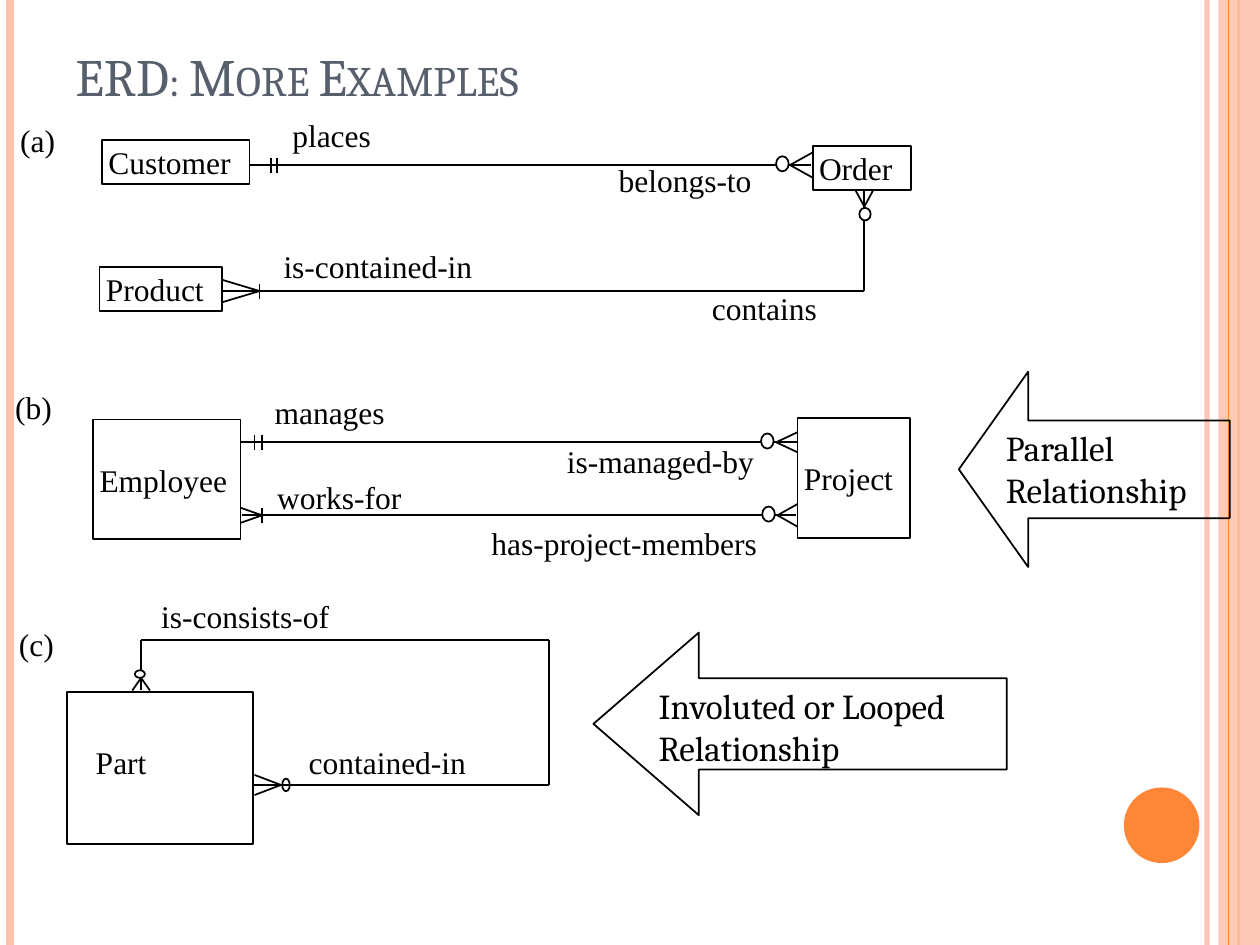
"""Build a slide of three entity-relationship diagram examples."""
from pptx import Presentation
from pptx.dml.color import RGBColor
from pptx.enum.shapes import MSO_CONNECTOR, MSO_SHAPE
from pptx.enum.text import MSO_ANCHOR, MSO_AUTO_SIZE, PP_ALIGN
from pptx.oxml.ns import qn
from pptx.util import Inches, Pt
from lxml import etree

BLACK = RGBColor(0x00, 0x00, 0x00)
WHITE = RGBColor(0xFF, 0xFF, 0xFF)
SLATE = RGBColor(0x57, 0x5F, 0x6D)
PEACH = RGBColor(0xFE, 0xC3, 0xAE)
ORANGE = RGBColor(0xFE, 0x86, 0x37)
SERIF = "Times New Roman"
DISPLAY = "Cambria"

prs = Presentation()
prs.slide_width, prs.slide_height = Inches(10), Inches(7.5)
slide = prs.slides.add_slide(prs.slide_layouts[5])
shapes = slide.shapes


def draw_line(x1, y1, x2, y2, color=BLACK, width=1):
    line = shapes.add_connector(MSO_CONNECTOR.STRAIGHT, *map(Inches, (x1, y1, x2, y2)))
    line.line.color.rgb = color
    line.line.width = Pt(width)
    etree.SubElement(line._element.spPr, qn("a:effectLst"))
    return line


def draw_shape(kind, place, fill=None, outline=BLACK):
    shape = shapes.add_shape(kind, *map(Inches, place))
    shape.shadow.inherit = False
    if fill is None:
        shape.fill.background()
    else:
        shape.fill.solid()
        shape.fill.fore_color.rgb = fill
    if outline is None:
        shape.line.fill.background()
    else:
        shape.line.color.rgb = outline
        shape.line.width = Pt(1)
    return shape


edge_rule = draw_line(9.58, 0, 9.58, 7.5, PEACH, 3)
draw_line(0.08, 0, 0.08, 7.5, PEACH, 4.5)
draw_line(9.83, 0, 9.83, 7.5, ORANGE, 1.5)
side_band = draw_shape(MSO_SHAPE.RECTANGLE, (9.67, 0, 0.33, 7.5), PEACH, None)
draw_line(9.75, 0, 9.75, 7.5, ORANGE, 0.75)
draw_shape(MSO_SHAPE.OVAL, (8.92, 6.25, 0.6, 0.6), ORANGE, None)
for decoration, opacity in ((edge_rule, 93), (side_band, 87)):
    tint = next(decoration._element.spPr.iter(qn("a:srgbClr")))
    etree.SubElement(tint, qn("a:alpha"), val=str(opacity * 1000))

title = shapes.title
title.left, title.top, title.width, title.height = map(Inches, (0.5, 0.3, 7.96, 0.6))
title.text_frame.text = "ERD: More Examples"
title.text_frame.auto_size = MSO_AUTO_SIZE.NONE
title.text_frame.vertical_anchor = MSO_ANCHOR.BOTTOM
heading = title.text_frame.paragraphs[0]
heading.alignment = PP_ALIGN.LEFT
heading.font.name, heading.font.size = DISPLAY, Pt(30)
heading.font.color.rgb = SLATE
heading.runs[0].font._element.set("cap", "small")

relationships = [
    (1.98, 1.31, 6.44, 1.31),
    (1.77, 2.31, 6.86, 2.31), (6.86, 2.31, 6.86, 1.51),
    (1.91, 3.51, 6.33, 3.51),
    (1.92, 4.09, 6.32, 4.09),
    (1.12, 5.48, 1.12, 5.08), (1.12, 5.08, 4.36, 5.08),
    (4.36, 5.08, 4.36, 6.23), (4.36, 6.23, 2.02, 6.23),
]
for ends in relationships:
    draw_line(*ends)

one_ticks = [(2.15, 1.31), (2.2, 1.31), (2.06, 2.31), (2.02, 3.51), (2.08, 3.51), (2.08, 4.09)]
for x, y in one_ticks:
    draw_line(x, y - 0.06, x, y + 0.06)

sideways_feet = [
    (6.27, 1.31, 0.18, 0.1), (2.06, 2.31, -0.3, 0.09), (6.16, 3.51, 0.17, 0.08),
    (6.17, 4.09, 0.16, 0.09), (2.08, 4.09, -0.17, 0.06), (2.23, 6.23, -0.21, 0.08),
]
upright_feet = [(6.86, 1.64, 0.07, -0.13), (1.12, 5.38, 0.07, 0.1)]
for side in (-1, 1):
    for x, y, reach, spread in sideways_feet:
        draw_line(x, y, x + reach, y + side * spread)
    for x, y, spread, reach in upright_feet:
        draw_line(x, y, x + side * spread, y + reach)

zero_rings = [
    (6.16, 1.24, 0.1, 0.12, WHITE), (6.82, 1.65, 0.09, 0.1, WHITE),
    (6.04, 3.44, 0.1, 0.12, WHITE), (6.05, 4.02, 0.1, 0.12, WHITE),
    (1.07, 5.32, 0.08, 0.06, WHITE), (2.24, 6.18, 0.06, 0.1, None),
]
for *place, fill in zero_rings:
    draw_shape(MSO_SHAPE.OVAL, place, fill)

entities = [
    ("Customer", 0.81, 1.11, 1.17, 0.35, 0.05), ("Order", 6.45, 1.16, 0.78, 0.35, 0.05),
    ("Product", 0.79, 2.12, 0.97, 0.35, 0.05), ("Employee", 0.74, 3.33, 1.17, 0.95, 0.05),
    ("Project", 6.33, 3.32, 0.89, 0.95, 0.05), ("Part", 0.53, 5.49, 1.48, 1.21, 0.23),
]
captions = []
for name, *place, indent in entities:
    entity = draw_shape(MSO_SHAPE.RECTANGLE, place)
    entity.text_frame.vertical_anchor = MSO_ANCHOR.MIDDLE
    captions.append((entity, name, indent, 0.02, True, SERIF, 18))
entity.text_frame.margin_bottom = Inches(0.12)

labels = [
    ("(a)", 0.11, 0.94, 0.39), ("(b)", 0.07, 3.06, 0.4), ("(c)", 0.1, 4.94, 0.38),
    ("places", 2.27, 0.9, 0.75), ("belongs-to", 4.86, 1.26, 1.19),
    ("is-contained-in", 2.2, 1.94, 1.68), ("contains", 5.6, 2.27, 0.99),
    ("manages", 2.13, 3.1, 1.03), ("is-managed-by", 4.45, 3.49, 1.67),
    ("works-for", 2.15, 3.77, 1.15), ("has-project-members", 3.85, 4.14, 2.38),
    ("is-consists-of", 1.23, 4.72, 1.46), ("contained-in", 2.4, 5.88, 1.43),
]
for wording, left, top, width in labels:
    label = shapes.add_textbox(*map(Inches, (left, top, width, 0.34)))
    captions.append((label, wording, 0.05, 0.02, False, SERIF, 18))

callouts = [
    ("Involuted or Looped\nRelationship", (4.71, 5.02, 3.28, 1.45), 0.577),
    ("Parallel\nRelationship", (7.61, 2.95, 2.15, 1.55), 0.355),
]
for wording, place, head in callouts:
    callout = draw_shape(MSO_SHAPE.LEFT_ARROW, place)
    callout.adjustments[0], callout.adjustments[1] = 0.5, head
    callout.text_frame.vertical_anchor = MSO_ANCHOR.TOP
    captions.append((callout, wording, 0.1, 0.05, True, DISPLAY, 20))

for holder, wording, indent, margin, wrap, font, size in captions:
    frame = holder.text_frame
    frame.text = wording
    frame.word_wrap = wrap
    frame.margin_left, frame.margin_right = Inches(indent), Inches(0.05)
    frame.margin_top = Inches(margin)
    if wording != "Part":
        frame.margin_bottom = Inches(margin)
    for paragraph in frame.paragraphs:
        paragraph.alignment = PP_ALIGN.LEFT
        paragraph.font.name, paragraph.font.size = font, Pt(size)
        paragraph.font.color.rgb = BLACK

prs.save("out.pptx")
